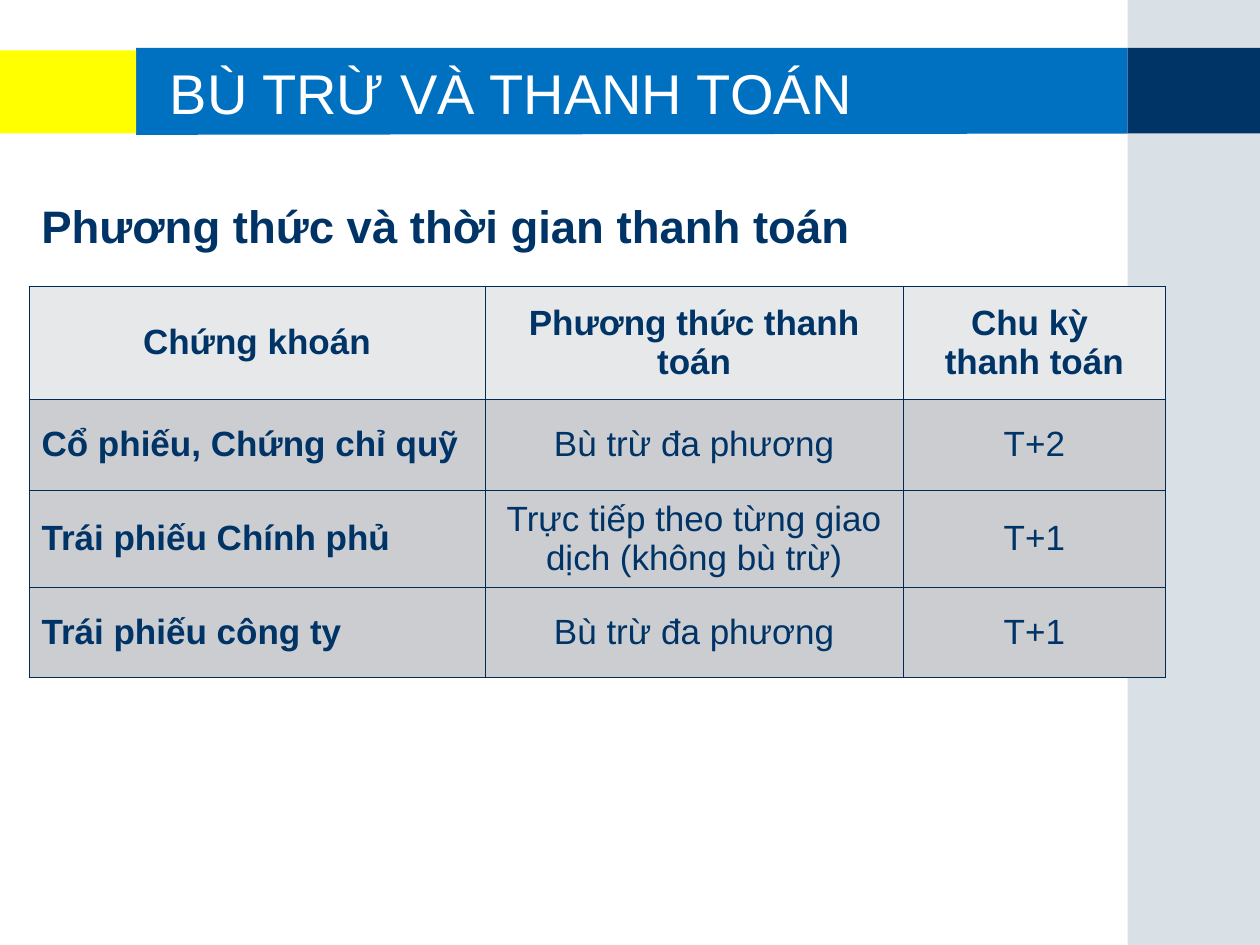
from dataclasses import dataclass

from lxml import etree
from pptx import Presentation
from pptx.dml.color import RGBColor
from pptx.enum.shapes import MSO_SHAPE
from pptx.enum.text import MSO_ANCHOR, PP_ALIGN
from pptx.oxml.ns import qn
from pptx.util import Inches, Pt

RECT = MSO_SHAPE.RECTANGLE
MIDDLE = MSO_ANCHOR.MIDDLE
LEFT, CENTER = PP_ALIGN.LEFT, PP_ALIGN.CENTER


@dataclass(frozen=True)
class Theme:
    """Colours, font and type sizes of the slide."""
    font: str = "Arial"
    navy: str = "003366"
    blue: str = "0070C0"
    yellow: str = "FFFF00"
    white: str = "FFFFFF"
    panel: str = "A0B5C4"
    head_fill: str = "E7E8E9"
    body_fill: str = "CBCDD1"
    border: str = "002A56"
    banner_size: int = 32
    title_size: int = 26
    cell_size: int = 20
    border_width: float = 0.45


THEME = Theme()
WIDTH, HEIGHT = 10, 7.5
BAND_LEFT, BAND_RIGHT = 1.08, 8.95
BAND_TOP, BAND_BOTTOM = 0.38, 1.06
MARGIN = 0.23
COLUMNS = [3.62, 3.32, 2.08]
ROW_HEIGHTS = [0.9, 0.72, 0.77, 0.72]
ROWS = [
    ["Chứng khoán", "Phương thức thanh toán", "Chu kỳ \nthanh toán"],
    ["Cổ phiếu, Chứng chỉ quỹ", "Bù trừ đa phương", "T+2"],
    ["Trái phiếu Chính phủ", "Trực tiếp theo từng giao dịch (không bù trừ)", "T+1"],
    ["Trái phiếu công ty", "Bù trừ đa phương", "T+1"],
]


def write_text(tf, text, *, size, color=THEME.navy, bold=False, align=LEFT):
    """Write each line of text as a formatted paragraph."""
    tf.word_wrap = True
    for i, line in enumerate(text.split("\n")):
        p = tf.add_paragraph() if i else tf.paragraphs[0]
        p.alignment = align
        r = p.add_run()
        r.text = line
        r.font.name = THEME.font
        r.font.size = Pt(size)
        r.font.bold = bold
        r.font.color.rgb = RGBColor.from_string(color)


def add_text(s, box, text, **fmt):
    """Add a vertically centred text box."""
    tf = s.shapes.add_textbox(*map(Inches, box)).text_frame
    tf.vertical_anchor = MIDDLE
    write_text(tf, text, **fmt)


def paint(sp, color, alpha=None):
    """Give a shape a flat fill, optionally with a percentage of opacity."""
    sp.shadow.inherit = False
    sp.line.fill.background()
    sp.fill.solid()
    sp.fill.fore_color.rgb = RGBColor.from_string(color)
    if alpha is not None:
        clr = sp.fill._xPr.find(".//" + qn("a:srgbClr"))
        etree.SubElement(clr, qn("a:alpha"), val=str(alpha * 1000))


def add_block(s, left, top, right, bottom, color, alpha=None):
    """Add a plain rectangle between four edges."""
    box = (left, top, right - left, bottom - top)
    paint(s.shapes.add_shape(RECT, *map(Inches, box)), color, alpha)


def add_band(s, points, color):
    """Add a filled polygon through points given in inches."""
    start, *rest = [(Inches(x), Inches(y)) for x, y in points]
    fb = s.shapes.build_freeform(*start)
    fb.add_line_segments(rest, close=True)
    paint(fb.convert_to_shape(), color)


def set_borders(cell):
    """Draw a thin line on all four sides of a cell."""
    tc_pr = cell._tc.get_or_add_tcPr()
    for i, side in enumerate(("a:lnL", "a:lnR", "a:lnT", "a:lnB")):
        ln = etree.Element(qn(side), w=str(Pt(THEME.border_width)))
        fill = etree.SubElement(ln, qn("a:solidFill"))
        etree.SubElement(fill, qn("a:srgbClr"), val=THEME.border)
        tc_pr.insert(i, ln)


def add_grid(s, left, top):
    """Add the settlement table with its header row and bold first column."""
    size = (sum(COLUMNS), sum(ROW_HEIGHTS))
    table = s.shapes.add_table(len(ROWS), len(COLUMNS),
                               *map(Inches, (left, top, *size))).table
    for col, width in zip(table.columns, COLUMNS):
        col.width = Inches(width)
    for i, (row, height) in enumerate(zip(table.rows, ROW_HEIGHTS)):
        row.height = Inches(height)
        for j, cell in enumerate(row.cells):
            head, label = i == 0, j == 0
            cell.fill.solid()
            cell.fill.fore_color.rgb = RGBColor.from_string(
                THEME.head_fill if head else THEME.body_fill)
            cell.vertical_anchor = MIDDLE
            set_borders(cell)
            write_text(cell.text_frame, ROWS[i][j], size=THEME.cell_size,
                       bold=head or label,
                       align=LEFT if label and not head else CENTER)


def main():
    """Build the slide and save it."""
    prs = Presentation()
    prs.slide_width, prs.slide_height = Inches(WIDTH), Inches(HEIGHT)
    s = prs.slides.add_slide(prs.slide_layouts[6])
    add_band(s, [(BAND_LEFT, BAND_TOP), (BAND_RIGHT, BAND_TOP),
                 (BAND_RIGHT, BAND_BOTTOM), (BAND_LEFT, BAND_BOTTOM + 0.01)],
             THEME.blue)
    add_block(s, BAND_RIGHT, 0, WIDTH, HEIGHT, THEME.panel, alpha=40)
    add_block(s, BAND_RIGHT, BAND_TOP, WIDTH, BAND_BOTTOM, THEME.navy)
    add_block(s, 0, 0.4, BAND_LEFT, BAND_BOTTOM, THEME.yellow)
    add_text(s, (MARGIN, 1.48, 7.53, 0.62), "Phương thức và thời gian thanh toán",
             size=THEME.title_size, bold=True)
    add_grid(s, MARGIN, 2.27)
    add_text(s, (1.25, 0.42, 7.33, 0.62), "BÙ TRỪ VÀ THANH TOÁN",
             size=THEME.banner_size, color=THEME.white)
    prs.save("out.pptx")


if __name__ == "__main__":
    main()
